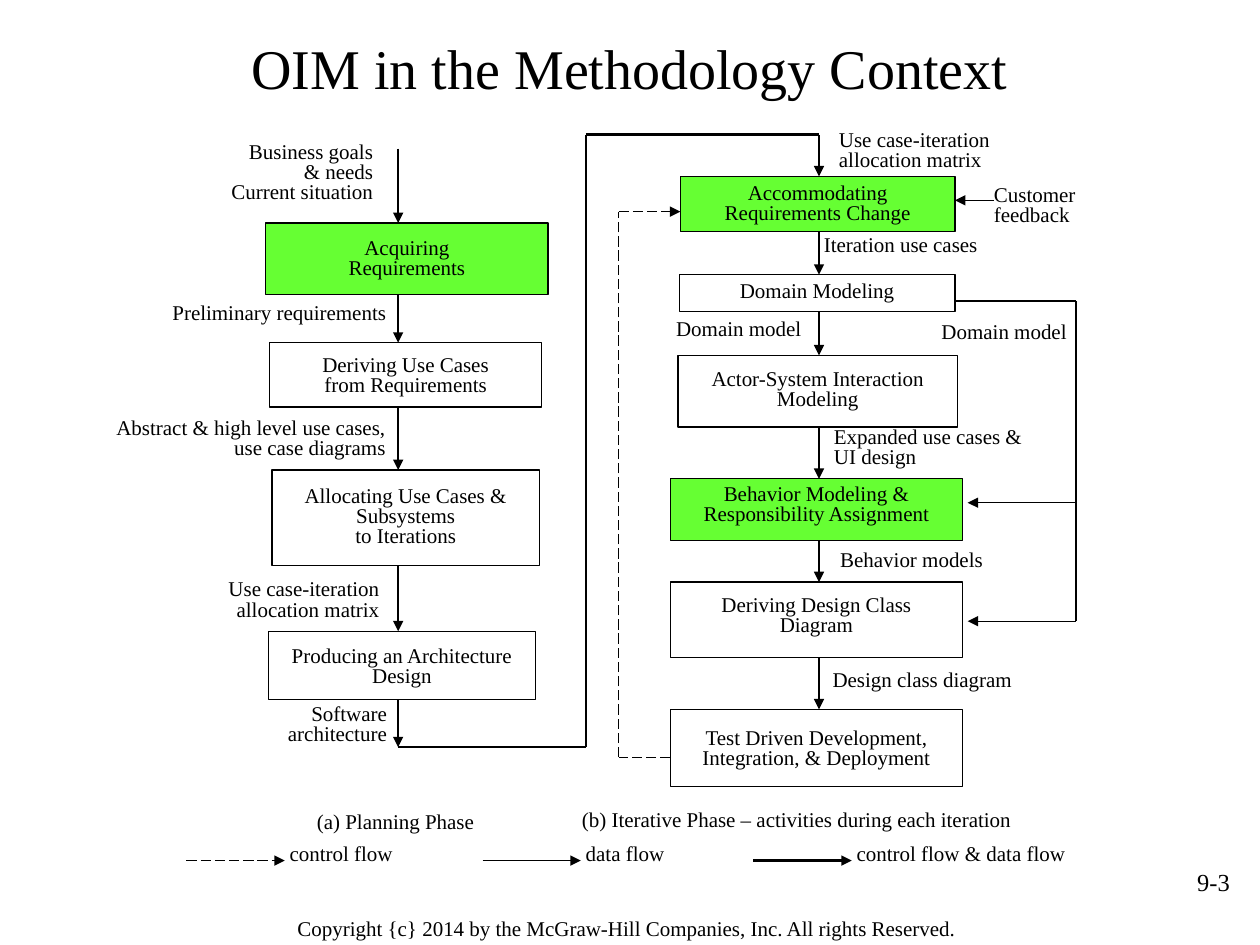
from dataclasses import dataclass
from itertools import pairwise
from typing import NamedTuple

from lxml.etree import SubElement
from pptx import Presentation
from pptx.dml.color import RGBColor
from pptx.enum.dml import MSO_LINE
from pptx.enum.shapes import MSO_CONNECTOR, MSO_SHAPE
from pptx.enum.text import MSO_ANCHOR, PP_ALIGN
from pptx.oxml.ns import qn
from pptx.util import Inches, Pt


@dataclass(frozen=True)
class Theme:
    font: str = "Times New Roman"
    ink: RGBColor = RGBColor(0x00, 0x00, 0x00)
    plain: RGBColor = RGBColor(0xFF, 0xFF, 0xFF)
    highlight: RGBColor = RGBColor(0x66, 0xFF, 0x33)
    title_size: Pt = Pt(32)
    number_size: Pt = Pt(14)
    body_size: Pt = Pt(12)
    thin: Pt = Pt(0.75)
    thick: Pt = Pt(1.5)
    tight: float = 0.8


class Area(NamedTuple):
    left: float
    top: float
    width: float
    height: float

    def inner(self, left, top, width, height):
        return Area(self.left + left, self.top + top, width, height)

    def point(self, x, y):
        return self.left + x, self.top + y

    @property
    def bottom(self):
        return self.top + self.height

    def lengths(self):
        return [Inches(value) for value in self]


THEME = Theme()
LEFT, CENTER, RIGHT = PP_ALIGN.LEFT, PP_ALIGN.CENTER, PP_ALIGN.RIGHT


def write(frame, text, align, size=THEME.body_size, spacing=THEME.tight):
    frame.word_wrap = True
    frame.text = text
    for para in frame.paragraphs:
        para.alignment = align
        para.line_spacing = spacing
        para.font.name = THEME.font
        para.font.size = size
        para.font.color.rgb = THEME.ink


def add_label(page, area, text, align=LEFT, **style):
    box = page.shapes.add_textbox(*area.lengths())
    write(box.text_frame, text, align, **style)


def add_step(page, area, text_offset, text, fill):
    box = page.shapes.add_shape(MSO_SHAPE.RECTANGLE, *area.lengths())
    box.shadow.inherit = False
    box.fill.solid()
    box.fill.fore_color.rgb = fill
    box.line.color.rgb = THEME.ink
    box.line.width = THEME.thin
    frame = box.text_frame
    frame.vertical_anchor = MSO_ANCHOR.TOP
    frame.margin_top = Inches(text_offset)
    write(frame, text, CENTER)


def add_route(page, points, width=THEME.thick, dashed=False):
    for start, end in pairwise(points):
        line = page.shapes.add_connector(
            MSO_CONNECTOR.STRAIGHT, *[Inches(value) for value in (*start, *end)]
        )
        line.line.color.rgb = THEME.ink
        line.line.width = width
        if dashed:
            line.line.dash_style = MSO_LINE.LONG_DASH
        properties = line._element.spPr
        SubElement(properties, qn("a:effectLst"))
    SubElement(properties.find(qn("a:ln")), qn("a:tailEnd"), type="triangle")


def add_flow(page, area, steps, labels, axis):
    boxes = []
    for *place, text_offset, text, fill in steps:
        boxes.append(area.inner(*place))
        add_step(page, boxes[-1], text_offset, text, fill)
    for *place, text, align in labels:
        add_label(page, area.inner(*place), text, align)
    x = area.left + axis
    for upper, lower in pairwise(boxes):
        add_route(page, [(x, upper.bottom), (x, lower.top)])


def add_planning_phase(page, area):
    axis = 2.46
    steps = [
        (1.41, 0.77, 2.24, 0.57, 0.13, "Acquiring\nRequirements", THEME.highlight),
        (1.44, 1.72, 2.16, 0.51, 0.11, "Deriving Use Cases\nfrom Requirements", THEME.plain),
        (1.46, 2.73, 2.12, 0.76, 0.14,
         "Allocating Use Cases & Subsystems\nto Iterations", THEME.plain),
        (1.43, 4.01, 2.12, 0.54, 0.13, "Producing an Architecture Design", THEME.plain),
    ]
    labels = [
        (0.68, 0.09, 1.68, 0.76, "Business goals\n& needs\nCurrent situation", RIGHT),
        (0.57, 1.37, 2.1, 0.32, "Preliminary requirements", LEFT),
        (0.02, 2.28, 2.44, 0.53,
         "Abstract & high level use cases, use case diagrams", RIGHT),
        (0.4, 3.56, 2.01, 0.55, "Use case-iteration allocation matrix", RIGHT),
        (1.12, 4.55, 1.35, 0.53, "Software architecture", RIGHT),
    ]
    add_flow(page, area, steps, labels, axis)
    add_route(page, [area.point(axis, 0.18), area.point(axis, 0.77)])
    add_route(page, [area.point(axis, 4.55), area.point(axis, 4.93)])


def add_iterative_phase(page, area):
    steps = [
        (0.5, 0.4, 2.18, 0.44, 0.06, "Accommodating\nRequirements Change", THEME.highlight),
        (0.49, 1.18, 2.19, 0.29, 0.06, "Domain Modeling", THEME.plain),
        (0.48, 1.82, 2.22, 0.57, 0.12, "Actor-System Interaction Modeling", THEME.plain),
        (0.42, 2.8, 2.32, 0.49, 0.05,
         "Behavior Modeling &\nResponsibility Assignment", THEME.highlight),
        (0.42, 3.62, 2.32, 0.6, 0.11, "Deriving Design Class\nDiagram", THEME.plain),
        (0.42, 4.63, 2.32, 0.61, 0.16,
         "Test Driven Development, Integration, & Deployment", THEME.plain),
    ]
    labels = [
        (1.66, -0.01, 2.01, 0.55, "Use case-iteration allocation matrix", LEFT),
        (2.89, 0.43, 1.18, 0.61, "Customer\nfeedback", LEFT),
        (1.54, 0.83, 2.02, 0.35, "Iteration use cases", LEFT),
        (0.06, 1.49, 1.5, 0.28, "Domain model", RIGHT),
        (2.32, 1.52, 1.5, 0.28, "Domain model", CENTER),
        (1.62, 2.35, 1.89, 0.54, "Expanded use cases & UI design", LEFT),
        (1.67, 3.33, 1.4, 0.31, "Behavior models", LEFT),
        (1.61, 4.28, 2.57, 0.35, "Design class diagram", LEFT),
    ]
    add_flow(page, area, steps, labels, axis=1.6)
    feedback = [(2.99, 0.59), (2.68, 0.59)]
    domain_model = [(2.68, 1.39), (3.64, 1.39), (3.64, 3.93), (2.78, 3.93)]
    behavior_branch = [(3.64, 2.99), (2.78, 2.99)]
    for route in (feedback, domain_model, behavior_branch):
        add_route(page, [area.point(*spot) for spot in route], THEME.thin)
    repeat = [(0.42, 5.01), (0.01, 5.01), (0.01, 0.68), (0.5, 0.68)]
    add_route(page, [area.point(*spot) for spot in repeat], THEME.thin, dashed=True)


def add_phase_link(page, area):
    right, bottom = area.left + area.width, area.bottom
    middle = area.left + 1.49
    add_route(page, [(area.left, bottom), (middle, bottom), (middle, area.top),
                     (right, area.top), (right, area.top + 0.33)])


def add_legend(page, area):
    add_label(page, area.inner(0.53, 0.02, 2.26, 0.35), "(a) Planning Phase", CENTER)
    add_label(page, area.inner(3.04, 0, 4.65, 0.35),
              "(b) Iterative Phase – activities during each iteration")
    entries = [
        (0, "control flow", THEME.thin, True),
        (2.35, "data flow", THEME.thin, False),
        (4.5, "control flow & data flow", THEME.thick, False),
    ]
    for left, text, width, dashed in entries:
        add_route(page, [area.point(left, 0.44), area.point(left + 0.78, 0.44)], width, dashed)
        add_label(page, area.inner(left + 0.72, 0.27, 2.55, 0.35), text)


def add_title(page, area, text):
    title = page.shapes.title
    title.left, title.top, title.width, title.height = area.lengths()
    title.text_frame.vertical_anchor = MSO_ANCHOR.MIDDLE
    write(title.text_frame, text, CENTER, size=THEME.title_size, spacing=1.0)


def add_footer(page, area):
    add_label(page, area.inner(0, 0.39, 6.19, 0.31),
              "Copyright {c} 2014 by the McGraw-Hill Companies, Inc. All rights Reserved.",
              CENTER, spacing=1.0)
    add_label(page, area.inner(5.65, 0, 2.33, 0.52), "9-3", RIGHT,
              size=THEME.number_size, spacing=1.0)


def main():
    deck = Presentation()
    deck.slide_width, deck.slide_height = Inches(10), Inches(7.5)
    page = deck.slides.add_slide(deck.slide_layouts[5])
    add_title(page, Area(0.5, 0.14, 9, 0.78), "OIM in the Methodology Context")
    add_planning_phase(page, Area(0.7, 1, 3.65, 5))
    add_iterative_phase(page, Area(4.9, 1, 4.1, 5.24))
    add_phase_link(page, Area(3.16, 1.07, 3.34, 4.86))
    add_legend(page, Area(1.48, 6.39, 7.7, 0.62))
    add_footer(page, Area(1.88, 6.83, 7.98, 0.7))
    deck.save("out.pptx")


if __name__ == "__main__":
    main()
